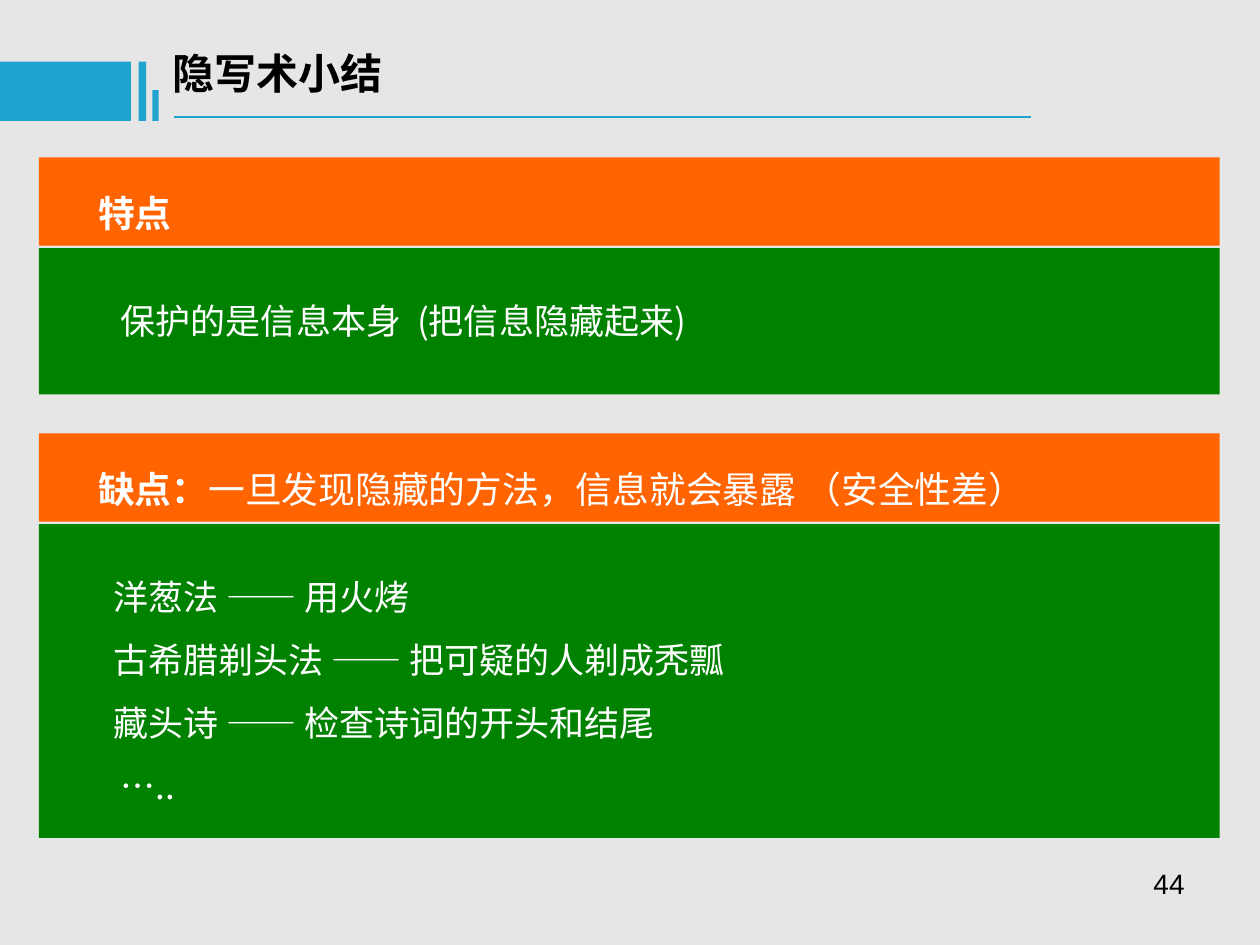
from dataclasses import dataclass
from typing import Any

from lxml.etree import SubElement
from pptx import Presentation
from pptx.dml.color import RGBColor
from pptx.enum.shapes import MSO_CONNECTOR, MSO_SHAPE
from pptx.enum.text import MSO_AUTO_SIZE, PP_ALIGN
from pptx.oxml.ns import qn
from pptx.util import Inches, Pt

GREY = RGBColor(0xE7, 0xE6, 0xE6)
BLUE = RGBColor(0x21, 0xA3, 0xD0)
GREEN = RGBColor(0x00, 0x82, 0x00)
ORANGE = RGBColor(0xFF, 0x64, 0x00)
WHITE = RGBColor(0xFF, 0xFF, 0xFF)
BLACK = RGBColor(0x00, 0x00, 0x00)

COLUMNS, ROWS = 100, 75


@dataclass
class Span:
    text: str
    bold: bool = False
    spacing: float = 0


@dataclass
class Line:
    spans: list
    indent: float = 0


@dataclass
class Painter:
    deck: Any
    page: Any
    font: str = "Noto Sans CJK SC"

    def place(self, left, top, width, height):
        across = self.deck.slide_width / COLUMNS
        down = self.deck.slide_height / ROWS
        return (round(left * across), round(top * down),
                round(width * across), round(height * down))

    def bar(self, area, color):
        shape = self.page.shapes.add_shape(MSO_SHAPE.RECTANGLE, *self.place(*area))
        shape.shadow.inherit = False
        shape.fill.solid()
        shape.fill.fore_color.rgb = color
        shape.line.fill.background()

    def rule(self, left, top, width):
        x, y, length, _ = self.place(left, top, width, 0)
        line = self.page.shapes.add_connector(MSO_CONNECTOR.STRAIGHT, x, y, x + length, y)
        line.line.color.rgb = BLUE
        line.line.width = Pt(1.5)
        SubElement(line._element.spPr, qn("a:effectLst"))

    def text(self, area, lines, size, color, leading=1.0, font=None,
             align=PP_ALIGN.LEFT, grow=True):
        box = self.page.shapes.add_textbox(*self.place(*area))
        frame = box.text_frame
        frame.word_wrap = True
        frame.auto_size = MSO_AUTO_SIZE.SHAPE_TO_FIT_TEXT if grow else MSO_AUTO_SIZE.NONE
        for index, line in enumerate(lines):
            para = frame.add_paragraph() if index else frame.paragraphs[0]
            para.alignment = align
            para.line_spacing = leading
            para._p.get_or_add_pPr().set("marL", str(Inches(line.indent)))
            for span in line.spans:
                self.span(para, span, size, color, font or self.font)

    def span(self, para, span, size, color, font):
        run = para.add_run()
        run.text = span.text
        run.font.size = Pt(size)
        run.font.bold = span.bold
        run.font.color.rgb = color
        run.font.name = font
        properties = run._r.get_or_add_rPr()
        SubElement(properties, qn("a:ea"), typeface=font)
        if span.spacing:
            properties.set("spc", str(round(span.spacing * 100)))

    def panel(self, top, body_height, text_height, heading, lines):
        self.bar((3.1, top + 7.2, 93.7, body_height), GREEN)
        self.text((4.9, top + 9.1, 89.5, text_height), lines, 20, WHITE, 1.5)
        self.bar((3.1, top, 93.7, 7), ORANGE)
        self.text((6.8, top + 0.4, 86.3, 6.3), [Line(heading)], 21, WHITE, 1.5)


def main():
    deck = Presentation()
    deck.slide_width, deck.slide_height = Inches(10), Inches(7.5)
    page = deck.slides.add_slide(deck.slide_layouts[6])
    page.background.fill.solid()
    page.background.fill.fore_color.rgb = GREY
    painter = Painter(deck, page)

    painter.text((12.7, 3.3, 68.4, 5), [Line([Span("隐写术小结", True)])], 24, BLACK)
    for area in ((0, 4.9, 10.4, 4.7), (11, 4.9, 0.6, 4.7), (12.1, 7.15, 0.5, 2.45)):
        painter.bar(area, BLUE)
    painter.rule(13.8, 9.3, 68)

    painter.panel(12.5, 11.6, 6, [Span("特点", True)], [
        Line([Span("保护的是信息本身"), Span(" ", spacing=4.5),
              Span("(把信息隐藏起来)")], 0.37),
    ])
    painter.panel(34.4, 24.9, 21, [
        Span("缺点：", True),
        Span("一旦发现隐藏的方法，信息就会暴露 （安全性差）"),
    ], [
        Line([Span("洋葱法 —— 用火烤")], 0.31),
        Line([Span("古希腊剃头法 —— 把可疑的人剃成秃瓢")], 0.31),
        Line([Span("藏头诗 —— 检查诗词的开头和结尾")], 0.31),
        Line([Span("…..")], 0.37),
    ])

    painter.text((71.7, 68.3, 23.3, 5.2), [Line([Span("44")])], 16, BLACK,
                 font="Arial", align=PP_ALIGN.RIGHT, grow=False)
    deck.save("out.pptx")


if __name__ == "__main__":
    main()
